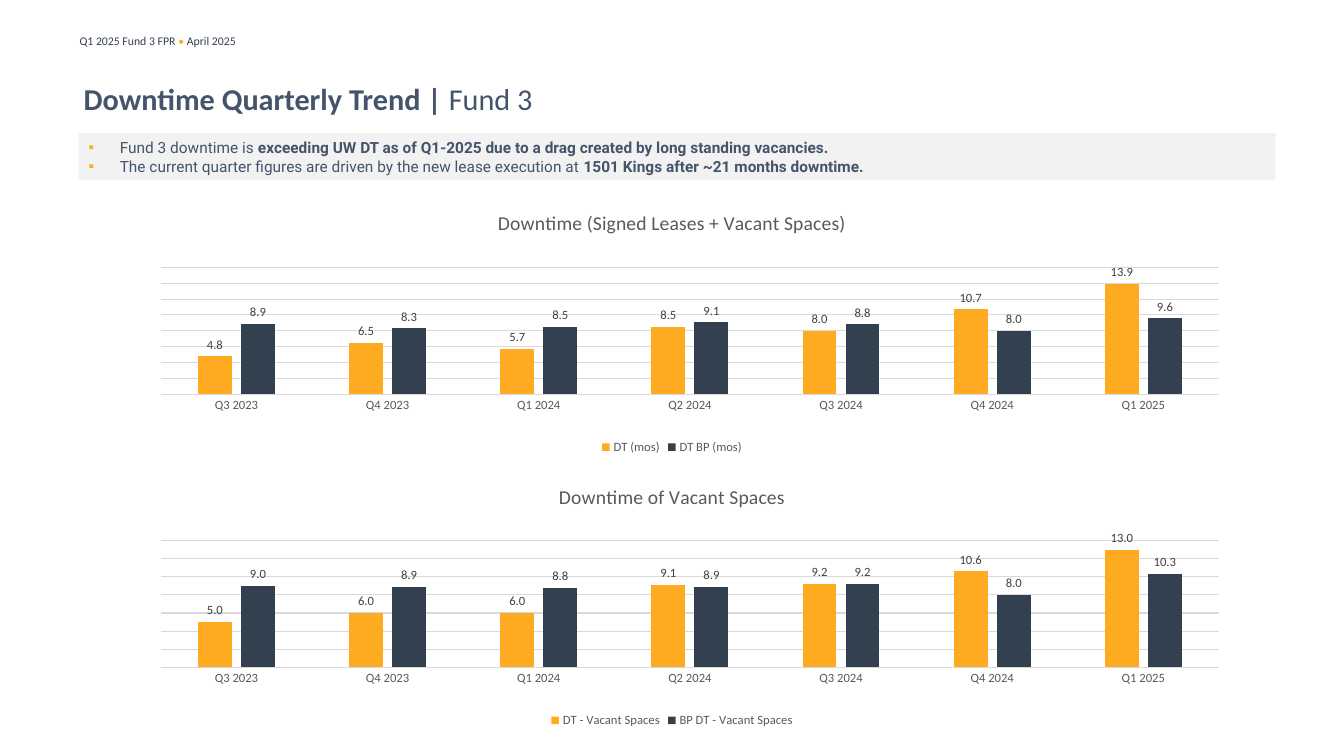
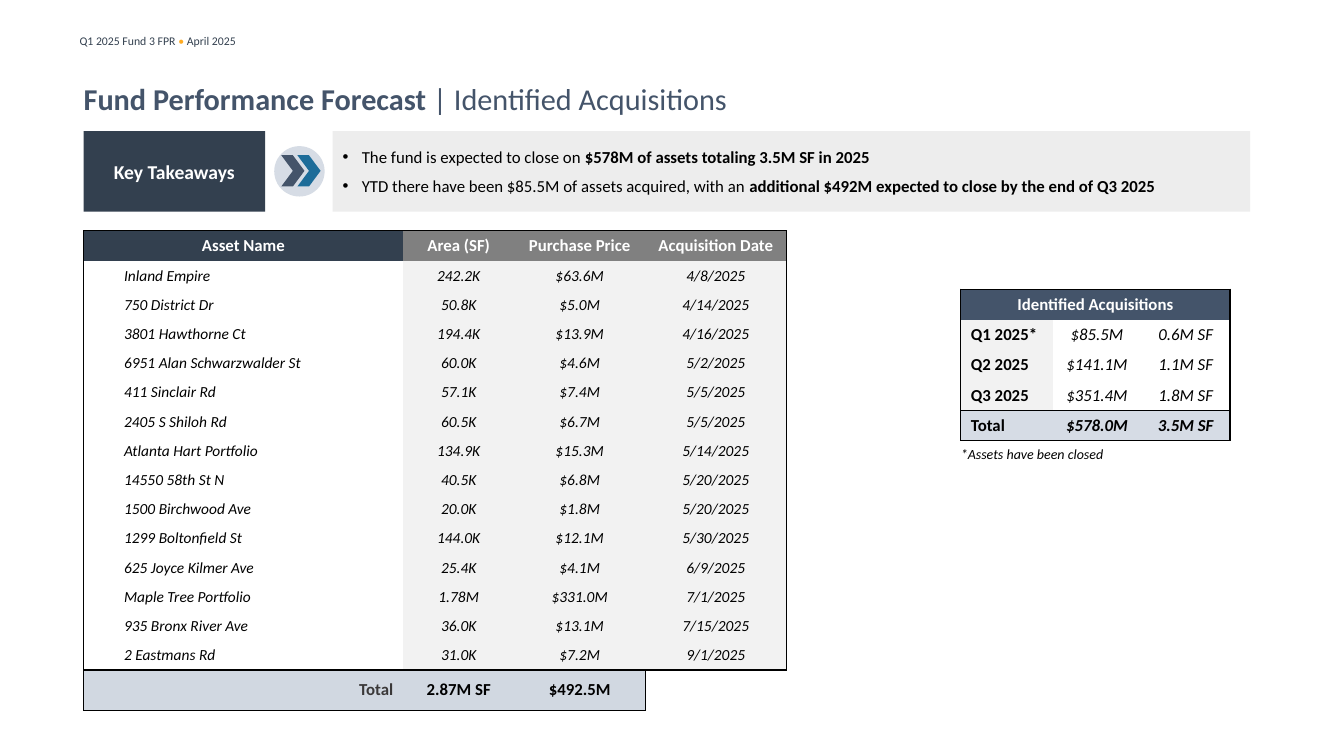
from lxml import etree
from pptx import Presentation
from pptx.chart.data import CategoryChartData
from pptx.dml.color import RGBColor
from pptx.enum.chart import XL_CHART_TYPE, XL_LABEL_POSITION, XL_LEGEND_POSITION, XL_TICK_MARK
from pptx.enum.shapes import MSO_SHAPE
from pptx.enum.text import MSO_ANCHOR, MSO_AUTO_SIZE, PP_ALIGN
from pptx.oxml import parse_xml
from pptx.oxml.ns import nsdecls, qn
from pptx.util import Pt

PX = 9144
NAVY, SLATE, ORANGE, BLUE = "33404F", "44546A", "FFAB21", "1C6C99"
PALE, MIST, TOTAL = "F2F2F2", "D6DCE5", "D1D8E1"
GREY, GRID, LABEL, AXIS = "808080", "D9D9D9", "404040", "595959"
BLACK, WHITE = "000000", "FFFFFF"
LEFT, CENTER, RIGHT = PP_ALIGN.LEFT, PP_ALIGN.CENTER, PP_ALIGN.RIGHT
NO_GRID_STYLE = "{2D5ABB26-0587-4C30-8999-92F81FD0307C}"


def rgb(value):
    """Turn a hex string into a colour."""
    return RGBColor.from_string(value)


def px(*values):
    """Turn px lengths into EMU."""
    return [value * PX for value in values]


class Deck:
    """Holds the style and the current slide."""

    font = "Calibri"

    def __init__(self):
        """Start an empty wide presentation."""
        self.prs = Presentation()
        self.prs.slide_width, self.prs.slide_height = px(1333, 750)

    def style(self, font, size, color, bold=False, italic=False, name=None):
        """Format a font."""
        font.name = name or self.font
        font.size = Pt(size)
        font.bold, font.italic = bold, italic
        font.color.rgb = rgb(color)

    def add_runs(self, p, runs, size, color, align=LEFT, **look):
        """Add runs, each a text with its own format changes."""
        p.alignment = align
        for text, changes in runs:
            r = p.add_run()
            r.text = text
            self.style(r.font, **{"size": size, "color": color, **look, **changes})

    def slide(self, title):
        """Add a slide with the shared header line and a title."""
        self.s = self.prs.slides.add_slide(self.prs.slide_layouts[5])
        self.text((69, 29, 451, 24), [("Q1 2025 Fund 3 FPR ", {}), ("• ", {"color": ORANGE}),
                                      ("April 2025", {})], 8.4, NAVY)
        sp = self.s.shapes.title
        sp.left, sp.top, sp.width, sp.height = px(83, 60, 1102, 75)
        tf = sp.text_frame
        tf.margin_left = tf.margin_right = tf.margin_top = tf.margin_bottom = 0
        tf.vertical_anchor = MSO_ANCHOR.MIDDLE
        tf.auto_size = MSO_AUTO_SIZE.NONE
        self.add_runs(tf.paragraphs[0], title, 21.6, SLATE)

    def text(self, box, runs, size, color, inset=10, **look):
        """Add a one-paragraph text box."""
        tf = self.s.shapes.add_textbox(*px(*box)).text_frame
        tf.word_wrap = True
        tf.margin_left = tf.margin_right = inset * PX
        self.add_runs(tf.paragraphs[0], runs, size, color, **look)

    def shape(self, kind, box, fill):
        """Add a flat filled shape and return its text frame."""
        sp = self.s.shapes.add_shape(kind, *px(*box))
        sp.shadow.inherit = False
        sp.fill.solid()
        sp.fill.fore_color.rgb = rgb(fill)
        sp.line.fill.background()
        tf = sp.text_frame
        tf.word_wrap = True
        tf.vertical_anchor = MSO_ANCHOR.MIDDLE
        return tf

    def bullets(self, box, fill, items, char, indent, size, color, char_color, gap=0, **look):
        """Add a band with a bulleted list."""
        tf = self.shape(MSO_SHAPE.RECTANGLE, box, fill)
        for i, runs in enumerate(items):
            p = tf.add_paragraph() if i else tf.paragraphs[0]
            pPr = p._p.get_or_add_pPr()
            pPr.set("marL", str(indent * PX))
            pPr.set("indent", str(-indent * PX))
            for tag in (f'<a:buClr {nsdecls("a")}><a:srgbClr val="{char_color}"/></a:buClr>',
                        f'<a:buFont {nsdecls("a")} typeface="Arial"/>',
                        f'<a:buChar {nsdecls("a")} char="{char}"/>'):
                pPr.append(parse_xml(tag))
            if i and gap:
                p.space_before = Pt(gap)
            self.add_runs(p, runs, size, color, **look)

    def chart(self, top, title, series, maximum):
        """Add a column chart of the quarters."""
        data = CategoryChartData(number_format="0.0")
        data.categories = QUARTERS
        for name, values in series:
            data.add_series(name, values)
        chart = self.s.shapes.add_chart(XL_CHART_TYPE.COLUMN_CLUSTERED,
                                        *px(93, top, 1147, 261), data).chart
        self.style(chart.font, 10, BLACK)
        chart.has_title = True
        self.add_runs(chart.chart_title.text_frame.paragraphs[0], [(title, {})], 14, AXIS, CENTER)
        chart.has_legend = True
        chart.legend.position = XL_LEGEND_POSITION.BOTTOM
        chart.legend.include_in_layout = False
        self.style(chart.legend.font, 9, AXIS)
        cat, val = chart.category_axis, chart.value_axis
        cat.major_tick_mark = XL_TICK_MARK.NONE
        self.style(cat.tick_labels.font, 9, AXIS)
        val.visible = False
        val.minimum_scale, val.maximum_scale, val.major_unit = 0, maximum, 2
        val.has_major_gridlines = True
        for line in (cat.format.line, val.major_gridlines.format.line):
            line.color.rgb = rgb(GRID)
            line.width = Pt(0.75)
        plot = chart.plots[0]
        plot.gap_width, plot.overlap, plot.vary_by_categories = 219, -27, False
        for ser, color in zip(plot.series, (ORANGE, NAVY)):
            ser.format.fill.solid()
            ser.format.fill.fore_color.rgb = rgb(color)
            labels = ser.data_labels
            labels.show_value = True
            labels.number_format, labels.number_format_is_linked = "0.0", False
            labels.position = XL_LABEL_POSITION.OUTSIDE_END
            self.style(labels.font, 9, LABEL)
        self.place_plot(chart, x=0.058, y=0.273, w=0.915, h=0.483)

    def place_plot(self, chart, **place):
        """Fix the inner plot area as fractions of the chart."""
        area = chart._chartSpace.find(".//" + qn("c:plotArea"))
        for old in area.findall(qn("c:layout")):
            area.remove(old)
        layout = etree.Element(qn("c:layout"))
        manual = etree.SubElement(layout, qn("c:manualLayout"))
        marks = {"layoutTarget": "inner", "xMode": "edge", "yMode": "edge", **place}
        for tag, value in marks.items():
            etree.SubElement(manual, qn("c:" + tag)).set("val", str(value))
        area.insert(0, layout)

    def table(self, left, top, widths, heights, rows, look):
        """Add a table; look gives fill, indent and text format of a cell."""
        table = self.s.shapes.add_table(len(rows), len(widths), *px(
            left, top, sum(widths), sum(heights))).table
        tblPr = table._tbl.tblPr
        tblPr.find(qn("a:tableStyleId")).text = NO_GRID_STYLE
        table.first_row = table.horz_banding = False
        for column, width in zip(table.columns, widths):
            column.width = width * PX
        for row, height in zip(table.rows, heights):
            row.height = height * PX
        for r, row in enumerate(rows):
            for c, text in enumerate(row):
                cell = table.cell(r, c)
                fill, indent, form = look(r, c)
                cell.vertical_anchor = MSO_ANCHOR.MIDDLE
                if fill and text:
                    cell.fill.solid()
                    cell.fill.fore_color.rgb = rgb(fill)
                else:
                    cell.fill.background()
                p = cell.text_frame.paragraphs[0]
                if text:
                    p._p.get_or_add_pPr().set("marL", str(indent * PX))
                    self.add_runs(p, [(text, {})], **form)
        return table

    def frame(self, table, top, bottom, last):
        """Draw a black outline round rows top to bottom, columns 0 to last."""
        for r in range(top, bottom + 1):
            for c in range(last + 1):
                cell = table.cell(r, c)
                tcPr = cell._tc.get_or_add_tcPr()
                sides = {"L": c == 0, "R": c + cell.span_width - 1 == last,
                         "T": r == top, "B": r == bottom}
                for i, side in enumerate(s for s in sides if sides[s]):
                    tcPr.insert(i, parse_xml(
                        f'<a:ln{side} {nsdecls("a")} w="12700"><a:solidFill>'
                        f'<a:srgbClr val="{BLACK}"/></a:solidFill></a:ln{side}>'))


BOLD = {"bold": True}
QUARTERS = ["Q3 2023", "Q4 2023", "Q1 2024", "Q2 2024", "Q3 2024", "Q4 2024", "Q1 2025"]
ASSETS = [
    ("Asset Name", "Area (SF)", "Purchase Price", "Acquisition Date"),
    ("Inland Empire", "242.2K", "$63.6M", "4/8/2025"),
    ("750 District Dr", "50.8K", "$5.0M", "4/14/2025"),
    ("3801 Hawthorne Ct", "194.4K", "$13.9M", "4/16/2025"),
    ("6951 Alan Schwarzwalder St", "60.0K", "$4.6M", "5/2/2025"),
    ("411 Sinclair Rd", "57.1K", "$7.4M", "5/5/2025"),
    ("2405 S Shiloh Rd", "60.5K", "$6.7M", "5/5/2025"),
    ("Atlanta Hart Portfolio", "134.9K", "$15.3M", "5/14/2025"),
    ("14550 58th St N", "40.5K", "$6.8M", "5/20/2025"),
    ("1500 Birchwood Ave", "20.0K", "$1.8M", "5/20/2025"),
    ("1299 Boltonfield St", "144.0K", "$12.1M", "5/30/2025"),
    ("625 Joyce Kilmer Ave", "25.4K", "$4.1M", "6/9/2025"),
    ("Maple Tree Portfolio", "1.78M", "$331.0M", "7/1/2025"),
    ("935 Bronx River Ave", "36.0K", "$13.1M", "7/15/2025"),
    ("2 Eastmans Rd", "31.0K", "$7.2M", "9/1/2025"),
    ("Total", "2.87M SF", "$492.5M", ""),
]
IDENTIFIED = [
    ("Identified Acquisitions", "", ""),
    ("Q1 2025*", "$85.5M", "0.6M SF"),
    ("Q2 2025", "$141.1M", "1.1M SF"),
    ("Q3 2025", "$351.4M", "1.8M SF"),
    ("Total", "$578.0M", "3.5M SF"),
]


def asset_look(r, c):
    """Format of a cell in the asset table."""
    if r == 0:
        return GREY if c else NAVY, 0, dict(size=12, color=WHITE, align=CENTER, bold=True)
    if r == len(ASSETS) - 1:
        return TOTAL, 0, dict(size=12, color=BLACK if c else "3A3838",
                              align=CENTER if c else RIGHT, bold=True)
    return (PALE if c else None, 0 if c else 30,
            dict(size=11, color=BLACK, align=CENTER if c else LEFT, italic=True))


def identified_look(r, c):
    """Format of a cell in the quarter table."""
    if r == 0:
        return SLATE, 0, dict(size=12, color=WHITE, align=CENTER, bold=True)
    total = r == len(IDENTIFIED) - 1
    fill = MIST if total else WHITE if c else PALE
    return fill, 0, dict(size=12, color=BLACK, align=CENTER if c else LEFT,
                         bold=total or c == 0, italic=c > 0)


def downtime_slide(deck):
    """Build the slide with the downtime charts."""
    deck.slide([("Downtime Quarterly Trend | ", BOLD), ("Fund 3", {})])
    deck.bullets((78, 132, 1187, 47), PALE, [
        [("Fund 3 downtime is ", {}),
         ("exceeding UW DT as of Q1-2025 due to a drag created by long standing vacancies.", BOLD)],
        [("The current quarter figures are driven by the new lease execution at ", {}),
         ("1501 Kings after ~21 months downtime.", BOLD)],
    ], "▪", 31, 11, SLATE, ORANGE, name="Roboto")
    deck.chart(194, "Downtime (Signed Leases + Vacant Spaces)", [
        ("DT (mos)", (4.8, 6.5, 5.7, 8.5, 8, 10.7, 13.9)),
        ("DT BP (mos)", (8.9, 8.3, 8.5, 9.1, 8.8, 8, 9.6))], 16)
    deck.chart(465, "Downtime of Vacant Spaces", [
        ("DT - Vacant Spaces", (5, 6, 6, 9.1, 9.2, 10.6, 13)),
        ("BP DT - Vacant Spaces", (9, 8.9, 8.8, 8.9, 9.2, 8, 10.3))], 14)


def forecast_slide(deck):
    """Build the slide with the acquisition tables."""
    deck.slide([("Fund Performance Forecast ", BOLD), ("| Identified Acquisitions", {})])
    assets = deck.table(83, 229, (317, 110, 130, 140), [30] + [29] * 14 + [30],
                        ASSETS, asset_look)
    deck.frame(assets, 0, 14, 3)
    deck.frame(assets, 15, 15, 2)
    identified = deck.table(953, 287, (91, 88, 88), [30] * 5, IDENTIFIED, identified_look)
    identified.cell(0, 0).merge(identified.cell(0, 2))
    deck.frame(identified, 0, 3, 2)
    deck.frame(identified, 4, 4, 2)
    tf = deck.shape(MSO_SHAPE.RECTANGLE, (83, 130, 180, 80), NAVY)
    deck.add_runs(tf.paragraphs[0], [("Key Takeaways", BOLD)], 14, WHITE, CENTER)
    deck.shape(MSO_SHAPE.OVAL, (272, 145, 50, 50), MIST)
    for left, color in ((279, SLATE), (295, BLUE)):
        deck.shape(MSO_SHAPE.CHEVRON, (left, 154, 23, 31), color)
    deck.bullets((330, 130, 910, 80), "EDEDED", [
        [("The fund is expected to close on ", {}),
         ("$578M of assets totaling 3.5M SF in 2025", BOLD)],
        [("YTD there have been $85.5M of assets acquired, with an ", {}),
         ("additional $492M expected to close by the end of Q3 2025", BOLD)],
    ], "•", 19, 12, BLACK, BLACK, gap=6)
    deck.text((953, 437, 162, 27), [("*Assets have been closed", {})], 10, BLACK,
              inset=0, italic=True)


def main():
    """Build and save the deck."""
    deck = Deck()
    downtime_slide(deck)
    forecast_slide(deck)
    deck.prs.save("out.pptx")


if __name__ == "__main__":
    main()
